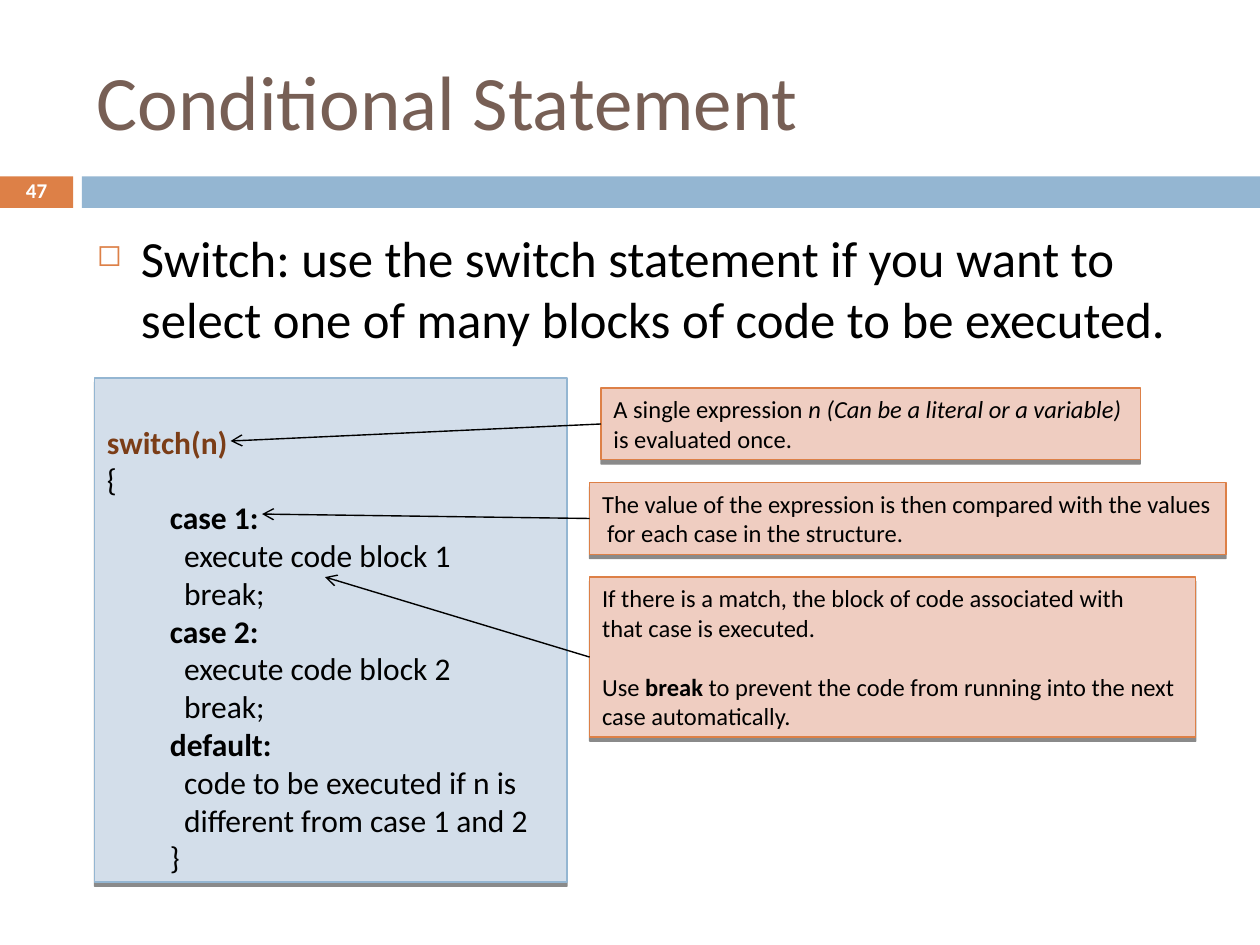
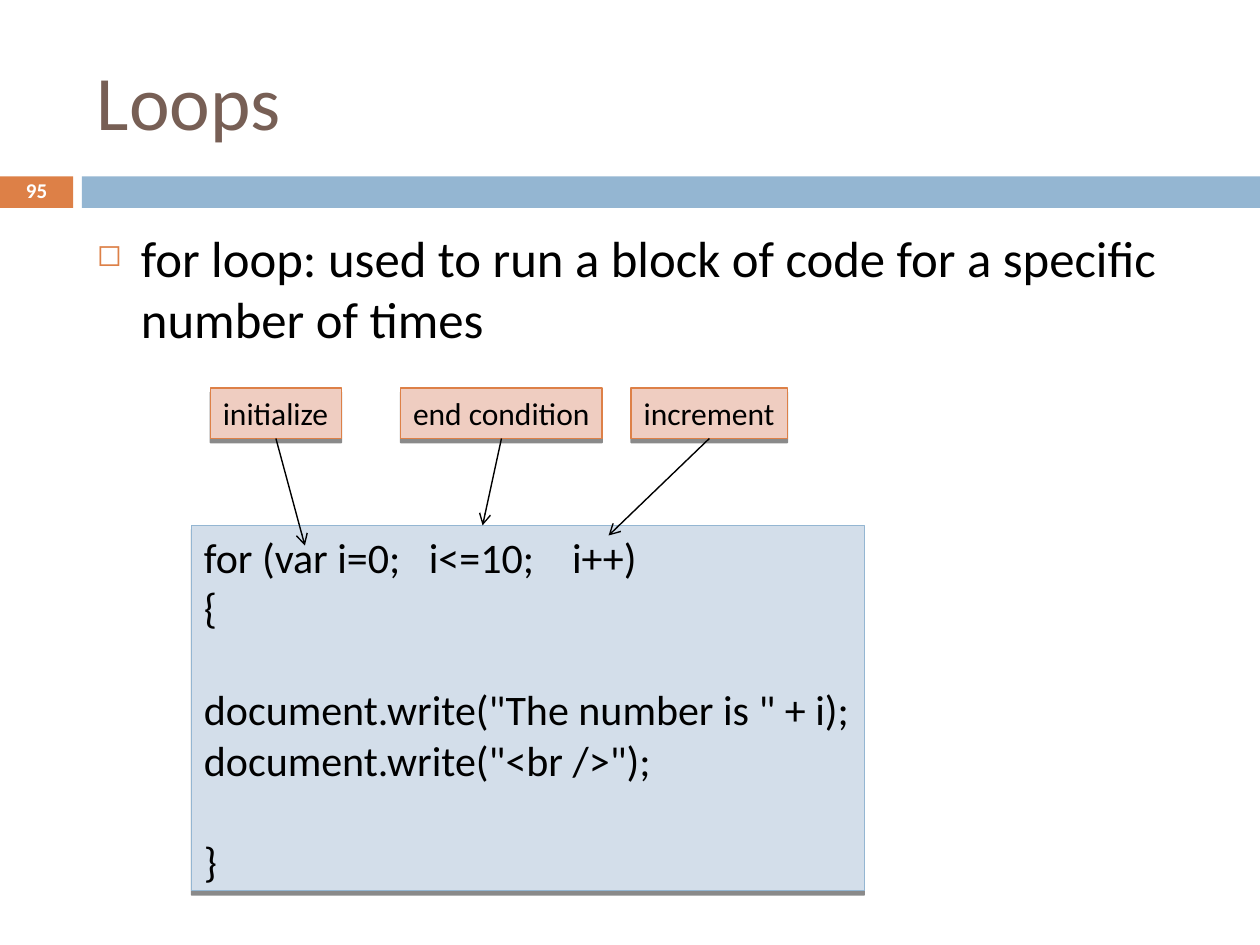
from dataclasses import dataclass

from lxml.etree import SubElement
from pptx import Presentation
from pptx.dml.color import RGBColor as RGB
from pptx.enum.shapes import MSO_CONNECTOR as Connector, MSO_SHAPE as Shape
from pptx.enum.text import MSO_ANCHOR as Anchor, PP_ALIGN as Align
from pptx.oxml.ns import qn
from pptx.util import Inches, Pt


@dataclass(frozen=True)
class Theme:
    font: str = "Calibri"
    title: str = "775F55"
    text: str = "000000"
    light: str = "FFFFFF"
    orange: str = "DD8047"
    blue: str = "94B6D2"
    pale_orange: str = "EFCDC1"
    pale_blue: str = "D3DEEA"
    keyword: str = "7B3D17"
    title_size: int = 44
    body_size: int = 29
    number_size: int = 12
    line_width: float = 0.79
    line_height: float = 1.22  # height of a text line, relative to its size


THEME = Theme()


@dataclass(frozen=True)
class Line:
    """A line of text; its pieces alternate between plain and emphasised."""
    pieces: tuple
    bold: bool = False
    emphasis: str = "bold"
    color: str = THEME.text
    indent: float = 0
    blank_above: bool = False


def line(*pieces, **style):
    return Line(pieces, **style)


def case_line(text, **style):
    return line(text, indent=0.5, **style)


# Content: box places are left, top, width, height; each callout has its arrow target
SLIDES = [
    {
        "title": "Conditional Statement",
        "number": 47,
        "body": "Switch: use the switch statement if you want to "
                "select one of many blocks of code to be executed.",
        "code": {
            "place": (0.75, 3, 3.75, 4),
            "size": 18,
            "lines": [
                line("switch(n)", bold=True, color=THEME.keyword, blank_above=True),
                line("{"),
                case_line("case 1:", bold=True),
                case_line("  execute code block 1"),
                case_line("  break;"),
                case_line("case 2:", bold=True),
                case_line("  execute code block 2"),
                case_line("  break;"),
                case_line("default:", bold=True),
                case_line("  code to be executed if n is"),
                case_line("  different from case 1 and 2"),
                case_line("}"),
            ],
        },
        "callout_size": 14,
        "arrow_side": "left",
        "callouts": [
            ((4.77, 3.08, 4.28, 0.57), (1.83, 3.5), [
                line("A single expression ", "n (Can be a literal or a variable)",
                     emphasis="italic"),
                line("is evaluated once."),
            ]),
            ((4.68, 3.83, 5.05, 0.57), (2.08, 4.08), [
                line("The value of the expression is then compared with the values"),
                line("for each case in the structure.", indent=0.04),
            ]),
            ((4.68, 4.58, 4.81, 1.27), (2.58, 4.58), [
                line("If there is a match, the block of code associated with"),
                line("that case is executed."),
                line("Use ", "break", " to prevent the code from running into the next",
                     blank_above=True),
                line("case automatically."),
            ]),
        ],
    },
    {
        "title": "Loops",
        "number": 95,
        "body": "for loop: used to run a block of code for a specific number of times",
        "code": {
            "place": (1.52, 4.17, 5.34, 2.9),
            "size": 24,
            "lines": [
                line("for (var i=0;   i<=10;    i++)"),
                line("{"),
                line('document.write("The number is " + i);', blank_above=True),
                line('document.write("<br />");'),
                line("}", blank_above=True),
            ],
        },
        "callout_size": 18,
        "arrow_side": "bottom",
        "callouts": [
            ((1.67, 3.08, 1.04, 0.4), (2.42, 4.33), [line("initialize")]),
            ((3.18, 3.08, 1.6, 0.4), (3.83, 4.17), [line("end condition")]),
            ((5.01, 3.08, 1.24, 0.4), (4.83, 4.25), [line("increment")]),
        ],
    },
]

CONNECTION_SITES = {"left": 1, "bottom": 2}


# Shared drawing helpers
def set_font(font, size, color, bold=False):
    font.name = THEME.font
    font.size = Pt(size)
    font.bold = bold
    font.color.rgb = RGB.from_string(color)


def add_text(slide, place, text):
    frame = slide.shapes.add_textbox(*map(Inches, place)).text_frame
    frame.word_wrap = True
    paragraph = frame.paragraphs[0]
    paragraph.text = text
    return frame, paragraph


def add_band(slide, place, fill):
    band = slide.shapes.add_shape(Shape.RECTANGLE, *map(Inches, place))
    band.shadow.inherit = False
    band.fill.solid()
    band.fill.fore_color.rgb = RGB.from_string(fill)
    band.line.fill.background()
    return band


def add_drop_shadow(shape):
    effects = shape._element.spPr.find(qn("a:effectLst"))
    shadow = SubElement(effects, qn("a:outerShdw"), blurRad="0",
                        dist=str(Pt(2.4)), dir="5400000", rotWithShape="0")
    color = SubElement(shadow, qn("a:srgbClr"), val=THEME.text)
    SubElement(color, qn("a:alpha"), val="45000")


def add_box(slide, place, lines, size, fill, border, wrap=False):
    box = add_band(slide, place, fill)
    box.line.color.rgb = RGB.from_string(border)
    box.line.width = Pt(THEME.line_width)
    add_drop_shadow(box)
    frame = box.text_frame
    frame.word_wrap = wrap
    frame.vertical_anchor = Anchor.TOP
    blank = Pt(size * THEME.line_height)
    for index, item in enumerate(lines):
        paragraph = frame.add_paragraph() if index else frame.paragraphs[0]
        paragraph.alignment = Align.LEFT
        if item.indent:
            paragraph._p.get_or_add_pPr().set("marL", str(Inches(item.indent)))
        if item.blank_above and index:
            paragraph.space_before = blank
        elif item.blank_above:
            frame.margin_top += blank
        set_font(paragraph.font, size, item.color, item.bold)
        for position, piece in enumerate(item.pieces):
            run = paragraph.add_run()
            run.text = piece
            if position % 2:
                setattr(run.font, item.emphasis, True)
    return box


def add_arrow(slide, callout, side, target):
    end = [Inches(value) for value in target]
    arrow = slide.shapes.add_connector(Connector.STRAIGHT, *end, *end)
    arrow.begin_connect(callout, CONNECTION_SITES[side])
    arrow.line.color.rgb = RGB.from_string(THEME.text)
    arrow.line.width = Pt(THEME.line_width)
    properties = arrow._element.spPr
    SubElement(properties.find(qn("a:ln")), qn("a:tailEnd"), type="arrow")
    SubElement(properties, qn("a:effectLst"))


def add_frame(slide, title, number, body):
    # Bands and slide number
    number_band = add_band(slide, (0, 1.4, 0.58, 0.25), THEME.orange)
    add_band(slide, (0.65, 1.4, 9.35, 0.25), THEME.blue)
    number_band.text_frame.vertical_anchor = Anchor.MIDDLE
    paragraph = number_band.text_frame.paragraphs[0]
    paragraph.text = str(number)
    paragraph.alignment = Align.CENTER
    paragraph.line_spacing = 0.8
    set_font(paragraph.font, THEME.number_size, THEME.light, bold=True)

    # Title
    frame, paragraph = add_text(slide, (0.67, 0.25, 8.92, 1.08), title)
    frame.vertical_anchor = Anchor.MIDDLE
    set_font(paragraph.font, THEME.title_size, THEME.title)

    # Bulleted statement
    _, paragraph = add_text(slide, (0.67, 1.75, 8.92, 4.92), body)
    properties = paragraph._p.get_or_add_pPr()
    properties.set("marL", str(Inches(0.35)))
    properties.set("indent", str(Inches(-0.35)))
    bullet_color = SubElement(properties, qn("a:buClr"))
    SubElement(bullet_color, qn("a:srgbClr"), val=THEME.orange)
    SubElement(properties, qn("a:buSzPct"), val="60000")
    SubElement(properties, qn("a:buChar"), char="◻")
    set_font(paragraph.font, THEME.body_size, THEME.text)


def add_slide(presentation, content):
    slide = presentation.slides.add_slide(presentation.slide_layouts[6])
    add_frame(slide, content["title"], content["number"], content["body"])
    code = content["code"]
    add_box(slide, code["place"], code["lines"], code["size"],
            THEME.pale_blue, THEME.blue, wrap=True)
    for place, target, lines in content["callouts"]:
        callout = add_box(slide, place, lines, content["callout_size"],
                          THEME.pale_orange, THEME.orange)
        add_arrow(slide, callout, content["arrow_side"], target)


def main():
    presentation = Presentation()
    presentation.slide_width = Inches(10)
    presentation.slide_height = Inches(7.5)
    for content in SLIDES:
        add_slide(presentation, content)
    presentation.save("out.pptx")


if __name__ == "__main__":
    main()
